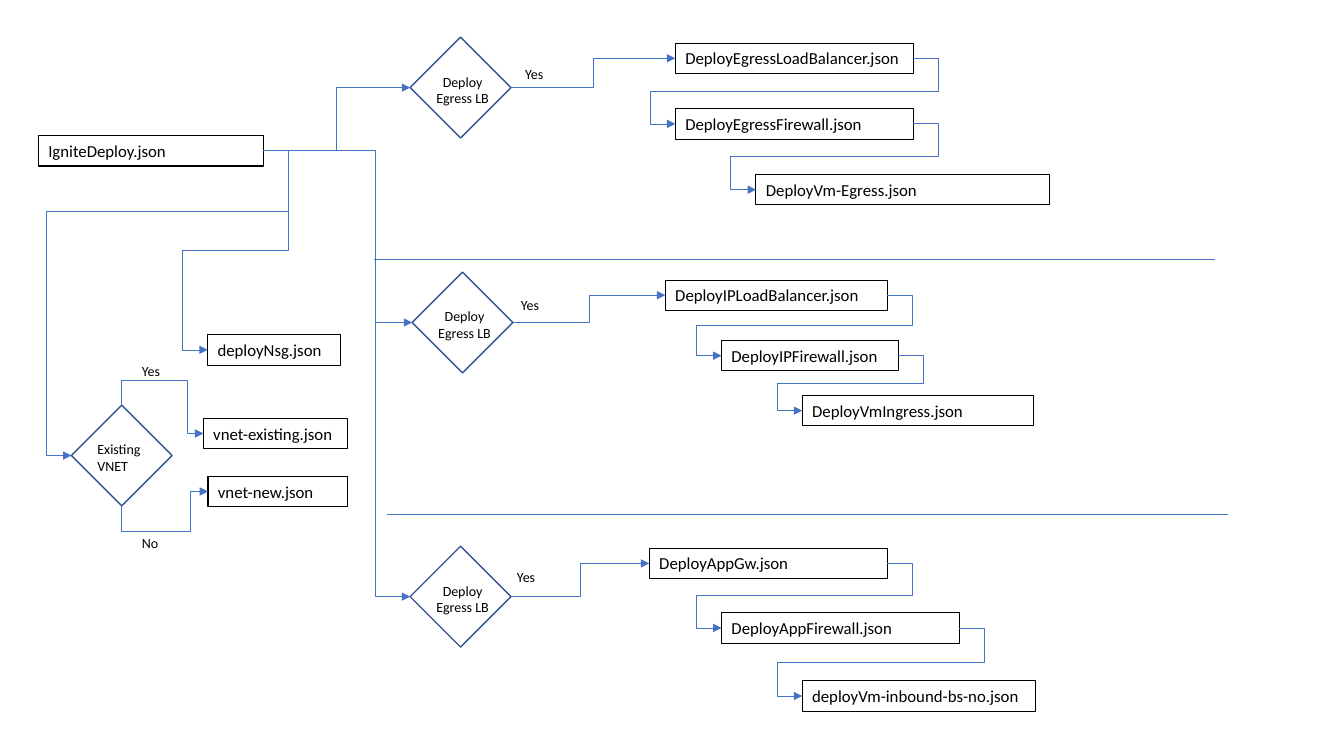
from lxml.etree import SubElement
from pptx import Presentation
from pptx.dml.color import RGBColor
from pptx.enum.shapes import MSO_CONNECTOR, MSO_SHAPE
from pptx.enum.text import MSO_AUTO_SIZE, PP_ALIGN
from pptx.oxml.ns import qn
from pptx.util import Pt

BLACK = RGBColor(0x00, 0x00, 0x00)
BLUE = RGBColor(0x44, 0x72, 0xC4)
NAVY = RGBColor(0x32, 0x54, 0x91)
TOP, LEFT, BOTTOM, RIGHT = range(4)
STUB = Pt(18)
TRUNK_X = Pt(267.8)


class Flow:
    font = "Calibri"

    def __init__(self, s):
        self.s = s

    def text(self, text, x, y, w, h, size=10, wrap=True, align=PP_ALIGN.LEFT):
        sp = self.s.shapes.add_textbox(Pt(x), Pt(y), Pt(w), Pt(h))
        tf = sp.text_frame
        tf.text = text
        tf.word_wrap = wrap
        tf.auto_size = MSO_AUTO_SIZE.SHAPE_TO_FIT_TEXT
        p = tf.paragraphs[0]
        p.alignment = align
        font = p.runs[0].font
        font.name, font.size = self.font, Pt(size)
        font.color.rgb = BLACK
        return sp

    def box(self, text, x, y, w, wrap=True):
        sp = self.text(text, x, y, w, 21.8, 12, wrap)
        sp.line.color.rgb = BLACK
        sp.line.width = Pt(0.75)
        return sp

    def decision(self, text, x, y, label_h, align):
        sp = self.s.shapes.add_shape(MSO_SHAPE.DIAMOND, Pt(x), Pt(y), Pt(72), Pt(72))
        sp.shadow.inherit = False
        sp.fill.background()
        sp.line.color.rgb = NAVY
        sp.line.width = Pt(1)
        self.text(text, x + 11.5, y + 22, 51.8, label_h, align=align)
        return sp

    def line(self, kind, x1=0, y1=0, x2=0, y2=0):
        c = self.s.shapes.add_connector(kind, Pt(x1), Pt(y1), Pt(x2), Pt(y2))
        c.line.color.rgb = BLUE
        c.line.width = Pt(0.5)
        SubElement(c._element.spPr, qn("a:effectLst"))
        return c

    def elbow(self, start, end, site=RIGHT):
        c = self.line(MSO_CONNECTOR.ELBOW)
        c.begin_connect(start, site)
        c.end_connect(end, LEFT)
        SubElement(c.line._get_or_add_ln(), qn("a:tailEnd"), type="triangle")
        return c

    def bend(self, c, *adjustments):
        geom = c._element.spPr.find(qn("a:prstGeom"))
        geom.set("prst", f"bentConnector{len(adjustments) + 2}")
        guides = geom.find(qn("a:avLst"))
        for i, value in enumerate(adjustments, 1):
            SubElement(guides, qn("a:gd"), name=f"adj{i}", fmla=f"val {round(value * 100000)}")

    def step(self, start, end, bend_x=None):
        c = self.elbow(start, end)
        self.bend(c, 0.5 if bend_x is None else (bend_x - c.begin_x) / c.width)

    def loop(self, start, end, middle=0.5):
        c = self.elbow(start, end)
        stub = STUB / c.width
        self.bend(c, -stub, middle, 1 + stub)

    def branch(self, start, end, site, middle):
        c = self.elbow(start, end, site)
        x, y, w, h = c.left, c.top, c.width, c.height
        c.left, c.top = x + (w - h) // 2, y + (h - w) // 2
        c.width, c.height = h, w
        c.rotation = 270 if site == TOP else 90
        xfrm = c._element.spPr.find(qn("a:xfrm"))
        xfrm.set("flipH", "1")
        xfrm.set("flipV", "0" if site == TOP else "1")
        self.bend(c, -STUB / h, middle)


prs = Presentation()
prs.slide_width, prs.slide_height = Pt(960), Pt(540)
flow = Flow(prs.slides.add_slide(prs.slide_layouts[6]))

main = flow.box("IgniteDeploy.json", 27.4, 96.8, 160.6)
nsg = flow.box("deployNsg.json", 148.3, 239, 95)
existing = flow.box("vnet-existing.json", 145.2, 298.8, 103.2)
new = flow.box("vnet-new.json", 148.6, 340.2, 100)
vnet = flow.decision("Existing VNET", 51, 289.4, 31.6, PP_ALIGN.LEFT)

flow.loop(main, vnet, 0.2)
flow.loop(main, nsg)
flow.branch(vnet, existing, TOP, 0.81)
flow.branch(vnet, new, BOTTOM, 0.79)
flow.text("Yes", 94.3, 255.6, 28, 19.4, wrap=False)
flow.text("No", 94.3, 378, 26.6, 19.4, wrap=False)

for x, y in ((267.2, 185.2), (276.5, 367.2)):
    flow.line(MSO_CONNECTOR.STRAIGHT, x, y, x + 600.5, y)

LANES = [
    ((293, 26.6), (365 + 3, 43.4), None, [
        ("DeployEgressLoadBalancer.json", 482.4, 30.8, 170, True),
        ("DeployEgressFirewall.json", 482.4, 77.6, 170, True),
        ("DeployVm-Egress.json", 540, 124.6, 209.6, True)]),
    ((294.4, 194.4), (365, 208.4), TRUNK_X, [
        ("DeployIPLoadBalancer.json", 475.2, 200, 158.6, True),
        ("DeployIPFirewall.json", 515.4, 243.2, 126.2, True),
        ("DeployVmIngress.json", 573, 282.4, 165.4, True)]),
    ((293, 390.2), (362.2, 402.6), TRUNK_X, [
        ("DeployAppGw.json", 463.8, 391.6, 170, True),
        ("DeployAppFirewall.json", 515.4, 437.6, 170, True),
        ("deployVm-inbound-bs-no.json", 573, 486.2, 167, False)]),
]

for diamond_at, yes_at, bend_x, files in LANES:
    decision = flow.decision("Deploy Egress LB", *diamond_at, 43.8, PP_ALIGN.CENTER)
    flow.text("Yes", *yes_at, 28, 19.4, wrap=False)
    boxes = [flow.box(*item) for item in files]
    flow.step(main, decision, bend_x)
    flow.step(decision, boxes[0])
    for start, end in zip(boxes, boxes[1:]):
        flow.loop(start, end)

prs.save("out.pptx")
